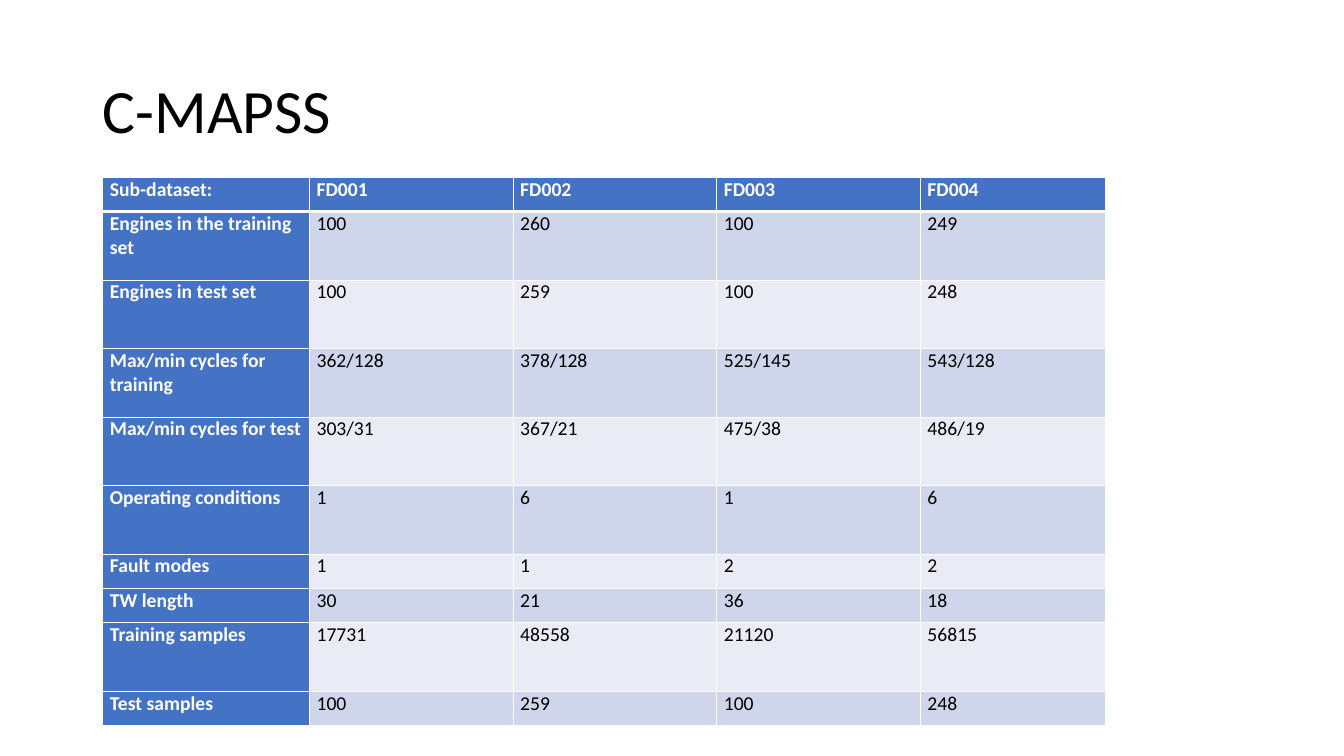
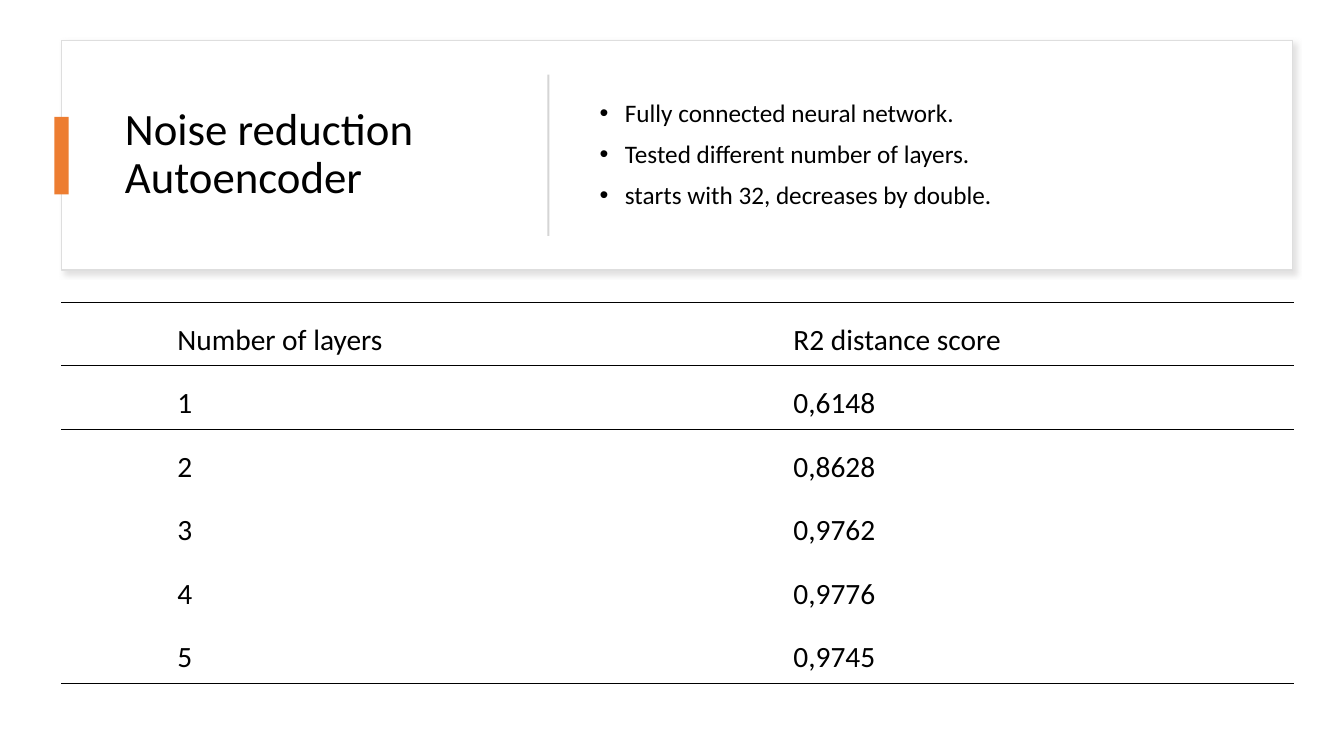
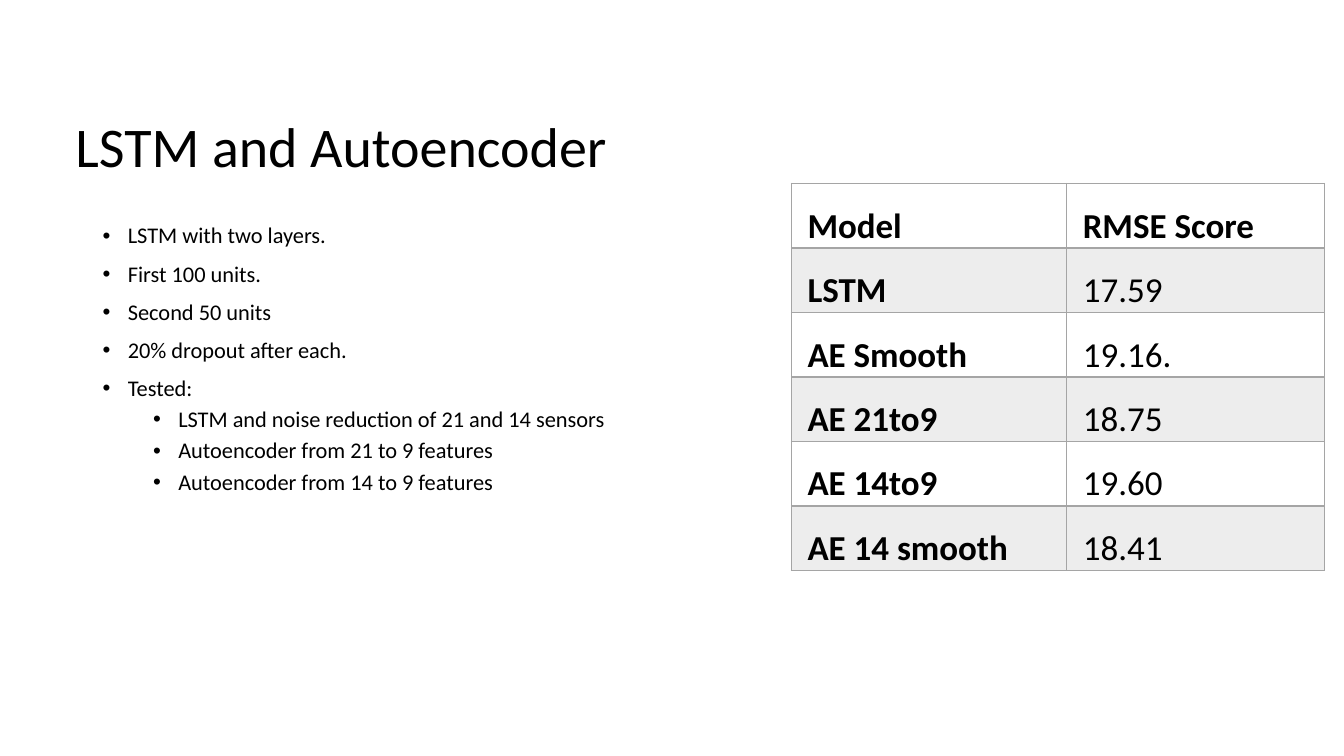
from dataclasses import dataclass, field

from lxml.etree import SubElement
from pptx import Presentation
from pptx.dml.color import RGBColor
from pptx.enum.shapes import MSO_SHAPE
from pptx.enum.text import MSO_ANCHOR
from pptx.oxml.ns import qn
from pptx.util import Pt

EMU_PER_PX = 9144  # 100 px to the inch
FONT = "Calibri"
NO_STYLE_TABLE = "{2D5ABB26-0587-4C30-8999-92F81FD0307C}"

BLACK = RGBColor(0x00, 0x00, 0x00)
WHITE = RGBColor(0xFF, 0xFF, 0xFF)
BLUE = RGBColor(0x44, 0x72, 0xC4)
BLUE_BAND = RGBColor(0xCF, 0xD5, 0xEA)
BLUE_BAND_LIGHT = RGBColor(0xE9, 0xEB, 0xF5)
ORANGE = RGBColor(0xED, 0x7D, 0x31)
GRAY = RGBColor(0xA5, 0xA5, 0xA5)
CARD_LINE = RGBColor(0xDE, 0xDE, 0xDE)
CARD_SHADOW = RGBColor(0xC5, 0xC3, 0xC3)
DIVIDER = RGBColor(0xD5, 0xD5, 0xD5)

DATASET_ROWS = [
    ("Sub-dataset:", "FD001", "FD002", "FD003", "FD004"),
    ("Engines in the training set", "100", "260", "100", "249"),
    ("Engines in test set", "100", "259", "100", "248"),
    ("Max/min cycles for training", "362/128", "378/128", "525/145", "543/128"),
    ("Max/min cycles for test", "303/31", "367/21", "475/38", "486/19"),
    ("Operating conditions", "1", "6", "1", "6"),
    ("Fault modes", "1", "1", "2", "2"),
    ("TW length", "30", "21", "36", "18"),
    ("Training samples", "17731", "48558", "21120", "56815"),
    ("Test samples", "100", "259", "100", "248"),
]
LAYER_ROWS = [
    ("Number of layers", "R2 distance score"),
    ("1", "0,6148"),
    ("2", "0,8628"),
    ("3", "0,9762"),
    ("4", "0,9776"),
    ("5", "0,9745"),
]
SCORE_ROWS = [
    ("Model", "RMSE Score"),
    ("LSTM", "17.59"),
    ("AE Smooth", "19.16."),
    ("AE 21to9", "18.75"),
    ("AE 14to9", "19.60"),
    ("AE 14 smooth", "18.41"),
]
AUTOENCODER_POINTS = [
    (0, "Fully connected neural network."),
    (0, "Tested different number of layers."),
    (0, "starts with 32, decreases by double."),
]
LSTM_POINTS = [
    (0, "LSTM with two layers."),
    (0, "First 100 units."),
    (0, "Second 50 units"),
    (0, "20% dropout after each."),
    (0, "Tested:"),
    (1, "LSTM and noise reduction of 21 and 14 sensors"),
    (1, "Autoencoder from 21 to 9 features"),
    (1, "Autoencoder from 14 to 9 features"),
]


@dataclass
class TableText:
    """Text settings shared by all cells of one table."""
    size: int
    side_inset: int
    top_inset: int = 0
    line_spacing: float = 1.0
    indent: int = 0


@dataclass
class CellLook:
    """Look of one cell; borders map L, R, T, B to widths in points."""
    fill: RGBColor = None
    opacity: int = 100
    color: RGBColor = BLACK
    bold: bool = False
    border_color: RGBColor = BLACK
    borders: dict = field(default_factory=dict)


def px(length):
    return length * EMU_PER_PX


def add_run(paragraph, text, size, color=BLACK, bold=False):
    run = paragraph.add_run()
    run.text = text
    run.font.name = FONT
    run.font.size = Pt(size)
    run.font.color.rgb = color
    run.font.bold = bold


def add_text_frame(slide, box, anchor):
    frame = slide.shapes.add_textbox(*map(px, box)).text_frame
    frame.word_wrap = True
    frame.vertical_anchor = anchor
    return frame


def add_title(slide, text, box, size, anchor=MSO_ANCHOR.MIDDLE):
    paragraph = add_text_frame(slide, box, anchor).paragraphs[0]
    paragraph.line_spacing = 0.9
    add_run(paragraph, text, size)


def add_bullets(slide, points, box, size, anchor):
    """Write (level, text) points as a bulleted list."""
    frame = add_text_frame(slide, box, anchor)
    for index, (level, text) in enumerate(points):
        paragraph = frame.add_paragraph() if index else frame.paragraphs[0]
        paragraph.level = level
        paragraph.line_spacing = 0.9
        paragraph.space_before = Pt(5 if level else 10)
        properties = paragraph._p.get_or_add_pPr()
        properties.set("marL", str(px(25 + 50 * level)))
        properties.set("indent", str(px(-25)))
        SubElement(properties, qn("a:buFont"), typeface="Arial")
        SubElement(properties, qn("a:buChar"), char="•")
        add_run(paragraph, text, size)


def add_rectangle(slide, box, fill, line=None):
    shape = slide.shapes.add_shape(MSO_SHAPE.RECTANGLE, *map(px, box))
    shape.shadow.inherit = False
    shape.fill.solid()
    shape.fill.fore_color.rgb = fill
    if line is None:
        shape.line.fill.background()
    else:
        shape.line.color.rgb = line
        shape.line.width = Pt(1)
    return shape


def add_shadow(shape, color, opacity, blur, distance, angle):
    effects = shape._element.spPr.find(qn("a:effectLst"))
    shadow = SubElement(
        effects, qn("a:outerShdw"), blurRad=str(Pt(blur)), dist=str(Pt(distance)),
        dir=str(angle * 60000), algn="tl", rotWithShape="0")
    shadow_color = SubElement(shadow, qn("a:srgbClr"), val=str(color))
    SubElement(shadow_color, qn("a:alpha"), val=str(opacity * 1000))


def set_borders(cell, look):
    properties = cell._tc.get_or_add_tcPr()
    for side in "LRTB":
        if side in look.borders:
            line = SubElement(properties, qn(f"a:ln{side}"), w=str(Pt(look.borders[side])))
            fill = SubElement(line, qn("a:solidFill"))
            SubElement(fill, qn("a:srgbClr"), val=str(look.border_color))


def set_fill(cell, look):
    if look.fill is None:
        cell.fill.background()
        return
    cell.fill.solid()
    cell.fill.fore_color.rgb = look.fill
    if look.opacity < 100:
        color = cell._tc.tcPr.find(f"{qn('a:solidFill')}/{qn('a:srgbClr')}")
        SubElement(color, qn("a:alpha"), val=str(look.opacity * 1000))


def fill_cell(cell, text, settings, look):
    cell.margin_left = cell.margin_right = px(settings.side_inset)
    cell.margin_top = px(settings.top_inset)
    cell.margin_bottom = 0
    set_borders(cell, look)
    set_fill(cell, look)
    paragraph = cell.text_frame.paragraphs[0]
    paragraph.line_spacing = settings.line_spacing
    if settings.indent:
        properties = paragraph._p.get_or_add_pPr()
        properties.set("marL", str(px(settings.indent)))
        properties.set("indent", "0")
    add_run(paragraph, text, settings.size, look.color, look.bold)


def add_table(slide, rows, corner, widths, heights, settings, look_of):
    """Add a table; look_of(row, column) gives the CellLook of each cell."""
    table = slide.shapes.add_table(
        len(rows), len(widths), *map(px, corner), px(sum(widths)), px(sum(heights))).table
    table.first_row = table.horz_banding = False
    table._tbl.tblPr.find(qn("a:tableStyleId")).text = NO_STYLE_TABLE
    for column, width in zip(table.columns, widths):
        column.width = px(width)
    for row, height in zip(table.rows, heights):
        row.height = px(height)
    for row_index, texts in enumerate(rows):
        for column_index, text in enumerate(texts):
            fill_cell(table.cell(row_index, column_index), text, settings,
                      look_of(row_index, column_index))


def grid_borders(row, header_width):
    """Thin lines all round, with a thicker one below the header row."""
    borders = dict.fromkeys("LRTB", 1)
    if row < 2:
        borders["T" if row else "B"] = header_width
    return borders


def dataset_look(row, column):
    borders = grid_borders(row, 3)
    if row == 0 or column == 0:
        return CellLook(BLUE, color=WHITE, bold=True, border_color=WHITE, borders=borders)
    band = BLUE_BAND if row % 2 else BLUE_BAND_LIGHT
    return CellLook(band, border_color=WHITE, borders=borders)


def layer_look(row, column):
    borders = {0: {"T": 1, "B": 1}, 1: {"T": 1}, len(LAYER_ROWS) - 1: {"B": 1}}
    return CellLook(borders=borders.get(row, {}))


def score_look(row, column):
    return CellLook(GRAY if row % 2 else None, opacity=20, bold=row == 0 or column == 0,
                    border_color=GRAY, borders=grid_borders(row, 2))


def build_dataset_slide(slide):
    add_title(slide, "C-MAPSS", (92, 40, 1150, 145), 44)
    single, double = 34, 68
    heights = [single] + [double] * 5 + [single] * 2 + [double, single]
    add_table(slide, DATASET_ROWS, (102, 176), [205, 202, 202, 202, 184], heights,
              TableText(size=14, side_inset=7), dataset_look)


def build_autoencoder_slide(slide):
    card = add_rectangle(slide, (61, 40, 1221, 228), WHITE, CARD_LINE)
    add_shadow(card, CARD_SHADOW, opacity=50, blur=4, distance=3, angle=45)
    add_title(slide, "Noise reduction Autoencoder", (114, 64, 389, 180), 32)
    add_rectangle(slide, (54, 116, 14, 77), ORANGE)
    add_rectangle(slide, (543, 74, 2, 160), DIVIDER)
    add_bullets(slide, AUTOENCODER_POINTS, (585, 64, 656, 180), 18, MSO_ANCHOR.MIDDLE)
    settings = TableText(size=21, side_inset=15, top_inset=2, line_spacing=1.5, indent=100)
    add_table(slide, LAYER_ROWS, (61, 300), [611] * 2, [63] * len(LAYER_ROWS),
              settings, layer_look)


def build_lstm_slide(slide):
    add_title(slide, "LSTM and Autoencoder", (65, 36, 656, 147), 40, MSO_ANCHOR.BOTTOM)
    add_bullets(slide, LSTM_POINTS, (92, 218, 656, 450), 16, MSO_ANCHOR.TOP)
    add_table(slide, SCORE_ROWS, (785, 182), [273, 256], [64] * len(SCORE_ROWS),
              TableText(size=25, side_inset=16, line_spacing=1.5), score_look)


def main():
    presentation = Presentation()
    presentation.slide_width = px(1333)
    presentation.slide_height = px(750)
    blank_layout = presentation.slide_layouts[6]
    for build in (build_dataset_slide, build_autoencoder_slide, build_lstm_slide):
        build(presentation.slides.add_slide(blank_layout))
    presentation.save("out.pptx")


if __name__ == "__main__":
    main()
